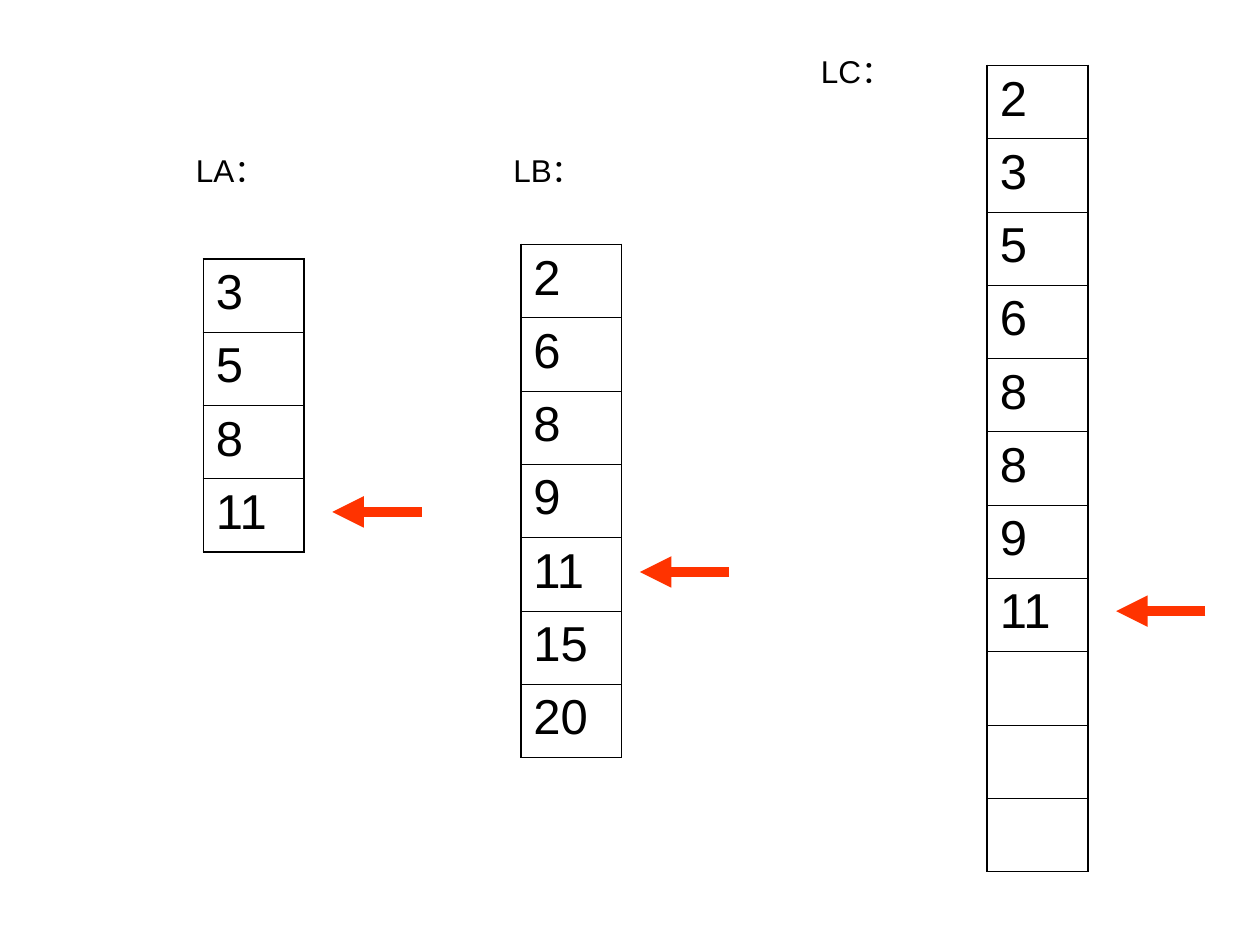
import pptx
import pptx.dml.color
import pptx.enum.shapes
import pptx.oxml
import pptx.oxml.ns
import pptx.util
from pptx.util import Cm

COLORS = {"ink": "000000", "arrow": "FF3300"}
ROW_HEIGHT = Cm(16.25) // 11
COLUMN_WIDTH = Cm(2.03)
ARROW_LENGTH = Cm(1.8)
THICK, THIN = 1.08, 0.45

# Positions are (left, top) in centimetres; an arrow is placed by its tip.
LISTS = [
    {"label": "LA：", "label_at": (3.7, 2.92), "table_at": (4.1, 5.22),
     "arrow_at": (6.7, 10.32), "values": [3, 5, 8, 11]},
    {"label": "LB：", "label_at": (10.1, 2.92), "table_at": (10.5, 4.93),
     "arrow_at": (12.9, 11.53), "values": [2, 6, 8, 9, 11, 15, 20]},
    {"label": "LC：", "label_at": (16.3, 0.92), "table_at": (19.9, 1.32),
     "arrow_at": (22.5, 12.32),
     "values": [2, 3, 5, 6, 8, 8, 9, 11, None, None, None]},
]


def write(frame, text, size, space_before):
    para = frame.paragraphs[0]
    para.space_before = pptx.util.Pt(space_before)
    span = para.add_run()
    span.text = text
    for name, value in {"name": "Arial", "size": pptx.util.Pt(size)}.items():
        setattr(span.font, name, value)
    span.font.color.rgb = pptx.dml.color.RGBColor.from_string(COLORS["ink"])


def set_borders(cell, widths):
    """Draw the cell's edges; widths maps L, R, T, B (in that order) to points."""
    properties = cell._tc.get_or_add_tcPr()
    for index, (side, width) in enumerate(widths.items()):
        properties.insert(index, pptx.oxml.parse_xml(
            f'<a:ln{side} {pptx.oxml.ns.nsdecls("a")} w="{pptx.util.Pt(width)}">'
            f'<a:solidFill><a:srgbClr val="{COLORS["ink"]}"/></a:solidFill>'
            f'</a:ln{side}>'))


deck = pptx.Presentation()
deck.slide_width, deck.slide_height = Cm(25.4), Cm(19.05)
page = deck.slides.add_slide(deck.slide_layouts[6])

for item in LISTS:
    values = item["values"]
    left, top = map(Cm, item["table_at"])
    table = page.shapes.add_table(len(values), 1, left, top, COLUMN_WIDTH,
                                  ROW_HEIGHT * len(values)).table
    table.first_row = table.horz_banding = False
    for index, value in enumerate(values):
        cell = table.cell(index, 0)
        cell.fill.background()
        set_borders(cell, {"L": THICK, "R": THICK,
                           "T": THICK if index == 0 else THIN,
                           "B": THICK if index == len(values) - 1 else THIN})
        if value is not None:
            write(cell.text_frame, str(value), 28, 7)

    left, top = map(Cm, item["label_at"])
    box = page.shapes.add_textbox(left, top, Cm(2.39), Cm(1.02))
    box.text_frame.word_wrap = True
    write(box.text_frame, item["label"], 18, 11.2)

    tip, level = map(Cm, item["arrow_at"])
    arrow = page.shapes.add_connector(
        pptx.enum.shapes.MSO_CONNECTOR.STRAIGHT,
        tip + ARROW_LENGTH, level, tip, level)
    arrow.line.color.rgb = pptx.dml.color.RGBColor.from_string(COLORS["arrow"])
    arrow.line.width = pptx.util.Pt(6)
    namespace = pptx.oxml.ns.nsdecls("a")
    arrow.line._get_or_add_ln().append(
        pptx.oxml.parse_xml(f'<a:tailEnd {namespace} type="triangle"/>'))
    arrow._element.spPr.append(pptx.oxml.parse_xml(f"<a:effectLst {namespace}/>"))

deck.save("out.pptx")
